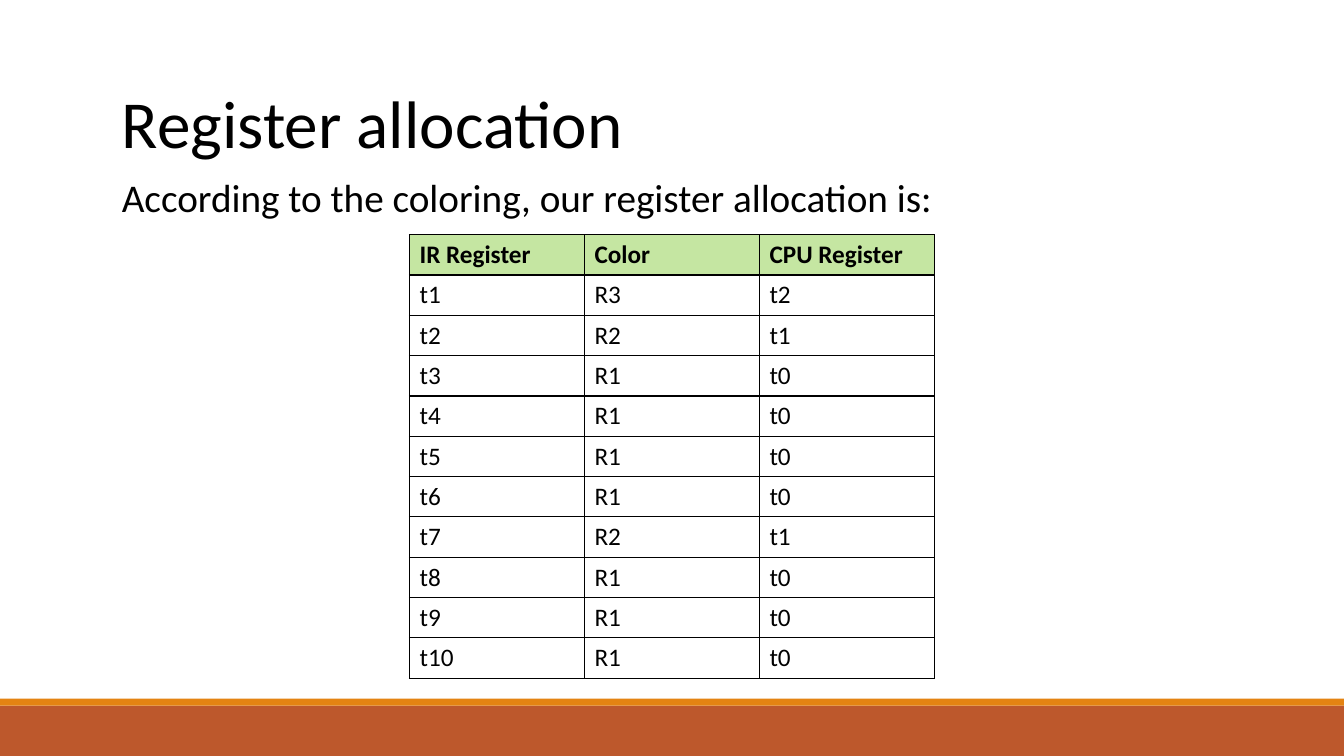
from lxml import etree
from pptx import Presentation
from pptx.dml.color import RGBColor
from pptx.enum import shapes, text
from pptx.oxml import ns
from pptx.util import Pt

PAGE_WIDTH, PAGE_HEIGHT = 960, 540
COLUMN_WIDTH, ROW_HEIGHT = 125, 28.8


def paint(fill, color):
    fill.solid()
    fill.fore_color.rgb = RGBColor.from_string(color)


def write(frame, content, size, bold=False):
    frame.text = content
    font = frame.paragraphs[0].runs[0].font
    font.name, font.size, font.bold = "Calibri", Pt(size), bold
    paint(font.fill, "000000")


deck = Presentation()
deck.slide_width, deck.slide_height = Pt(PAGE_WIDTH), Pt(PAGE_HEIGHT)
page = deck.slides.add_slide(deck.slide_layouts[6])

for top, height, color in [(504, 36, "BD582C"), (499, 5, "E48312")]:
    band = page.shapes.add_shape(
        shapes.MSO_SHAPE.RECTANGLE, Pt(0), Pt(top), Pt(PAGE_WIDTH), Pt(height))
    band.shadow.inherit = False
    paint(band.fill, color)
    band.line.fill.background()

for content, top, width, height, size in [
    ("Register allocation", 54.8, 798.5, 65.6, 48),
    ("According to the coloring, our register allocation is:", 120.4, 811.5, 41.2, 28),
]:
    box = page.shapes.add_textbox(Pt(80), Pt(top), Pt(width), Pt(height))
    box.text_frame.word_wrap = True
    write(box.text_frame, content, size)

rows = [
    ("IR Register", "Color", "CPU Register"),
    ("t1", "R3", "t2"),
    ("t2", "R2", "t1"),
    ("t3", "R1", "t0"),
    ("t4", "R1", "t0"),
    ("t5", "R1", "t0"),
    ("t6", "R1", "t0"),
    ("t7", "R2", "t1"),
    ("t8", "R1", "t0"),
    ("t9", "R1", "t0"),
    ("t10", "R1", "t0"),
]
table_width = COLUMN_WIDTH * len(rows[0])
table = page.shapes.add_table(
    len(rows), len(rows[0]), Pt((PAGE_WIDTH - table_width) / 2), Pt(167.6),
    Pt(table_width), Pt(ROW_HEIGHT * len(rows))).table
table.first_row = table.horz_banding = False
for column in table.columns:
    column.width = Pt(COLUMN_WIDTH)

for row_index, row in enumerate(rows):
    table.rows[row_index].height = Pt(ROW_HEIGHT)
    header = row_index == 0
    for column_index, content in enumerate(row):
        cell = table.cell(row_index, column_index)
        cell.margin_top = cell.margin_bottom = Pt(3.4)
        cell.vertical_anchor = text.MSO_ANCHOR.MIDDLE
        write(cell.text_frame, content, 18, header)
        properties = cell._tc.get_or_add_tcPr()
        for side in ("a:lnL", "a:lnR", "a:lnT", "a:lnB"):
            border = etree.SubElement(properties, ns.qn(side), w=str(Pt(1)))
            solid = etree.SubElement(border, ns.qn("a:solidFill"))
            etree.SubElement(solid, ns.qn("a:srgbClr"), val="000000")
        paint(cell.fill, "92D050" if header else "FFFFFF")
        if header:
            shade = properties.find(ns.qn("a:solidFill")).find(ns.qn("a:srgbClr"))
            etree.SubElement(shade, ns.qn("a:alpha"), val="53000")

deck.save("out.pptx")
